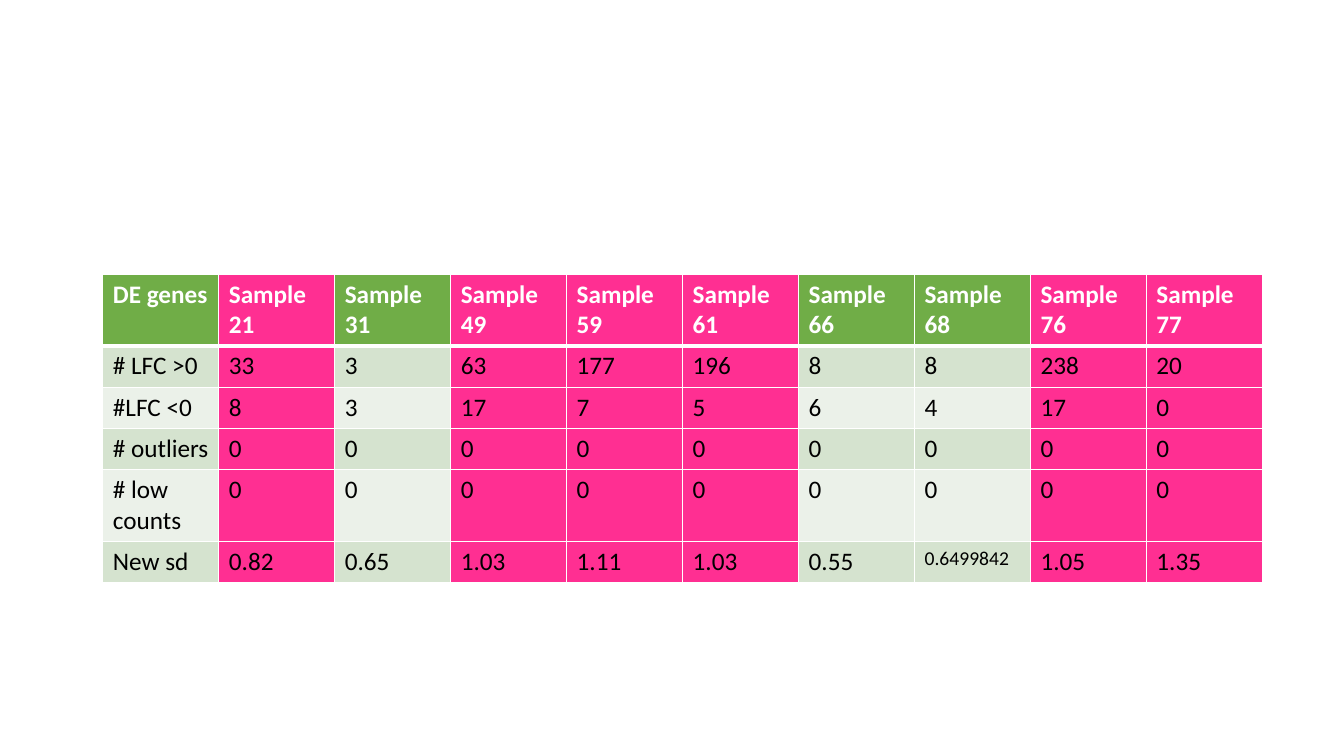
from lxml.etree import SubElement
from pptx import Presentation
from pptx.dml.color import RGBColor
from pptx.oxml.ns import qn
from pptx.util import Inches, Pt

# Content
HEADINGS = ["DE genes"] + [
    f"Sample {number}" for number in (21, 31, 49, 59, 61, 66, 68, 76, 77)
]
MEASURES = [
    ["# LFC >0", "33", "3", "63", "177", "196", "8", "8", "238", "20"],
    ["#LFC <0", "8", "3", "17", "7", "5", "6", "4", "17", "0"],
    ["# outliers"] + ["0"] * 9,
    ["# low counts"] + ["0"] * 9,
    ["New sd", "0.82", "0.65", "1.03", "1.11", "1.03", "0.55", "0.6499842",
     "1.05", "1.35"],
]
PINK_SAMPLES = {"Sample 21", "Sample 49", "Sample 59", "Sample 61",
                "Sample 76", "Sample 77"}
SMALL_TEXT = {"0.6499842": 14}

# Style
FONT, TEXT_SIZE = "Calibri", 18
WHITE, BLACK = "FFFFFF", "000000"
GREEN, PINK = "70AD47", "FF2F92"
BANDS = ["D5E3CF", "EBF1E9"]
LEFT, TOP, COLUMN_WIDTH = 1.02, 2.72, 1.15
ROW_HEIGHTS = [0.71, 0.41, 0.41, 0.41, 0.71, 0.41]


def color(hex_code):
    return RGBColor.from_string(hex_code)


def add_borders(cell, top, bottom):
    """Draw white borders; they must come before the fill is set."""
    properties = cell._tc.get_or_add_tcPr()
    for side, points in (("L", 1), ("R", 1), ("T", top), ("B", bottom)):
        line = SubElement(properties, qn(f"a:ln{side}"), w=str(Pt(points)))
        fill = SubElement(line, qn("a:solidFill"))
        SubElement(fill, qn("a:srgbClr"), val=WHITE)


def cell_fill(row, heading):
    if heading in PINK_SAMPLES:
        return PINK
    return GREEN if row == 0 else BANDS[(row - 1) % 2]


def fill_cell(cell, text, row, heading):
    add_borders(cell, top=3 if row == 1 else 1, bottom=3 if row == 0 else 1)
    cell.fill.solid()
    cell.fill.fore_color.rgb = color(cell_fill(row, heading))
    run = cell.text_frame.paragraphs[0].add_run()
    run.text = text
    run.font.name = FONT
    run.font.size = Pt(SMALL_TEXT.get(text, TEXT_SIZE))
    run.font.bold = row == 0
    run.font.color.rgb = color(WHITE if row == 0 else BLACK)


def main():
    presentation = Presentation()
    presentation.slide_width = Inches(13.33)
    presentation.slide_height = Inches(7.5)
    slide = presentation.slides.add_slide(presentation.slide_layouts[6])

    # Table of differentially expressed genes
    gene_rows = [HEADINGS] + MEASURES
    gene_table = slide.shapes.add_table(
        len(gene_rows), len(HEADINGS), Inches(LEFT), Inches(TOP),
        Inches(COLUMN_WIDTH * len(HEADINGS)), Inches(sum(ROW_HEIGHTS)),
    ).table
    for column in gene_table.columns:
        column.width = Inches(COLUMN_WIDTH)
    for row, (texts, height) in enumerate(zip(gene_rows, ROW_HEIGHTS)):
        gene_table.rows[row].height = Inches(height)
        for column, (text, heading) in enumerate(zip(texts, HEADINGS)):
            fill_cell(gene_table.cell(row, column), text, row, heading)

    presentation.save("out.pptx")


if __name__ == "__main__":
    main()
